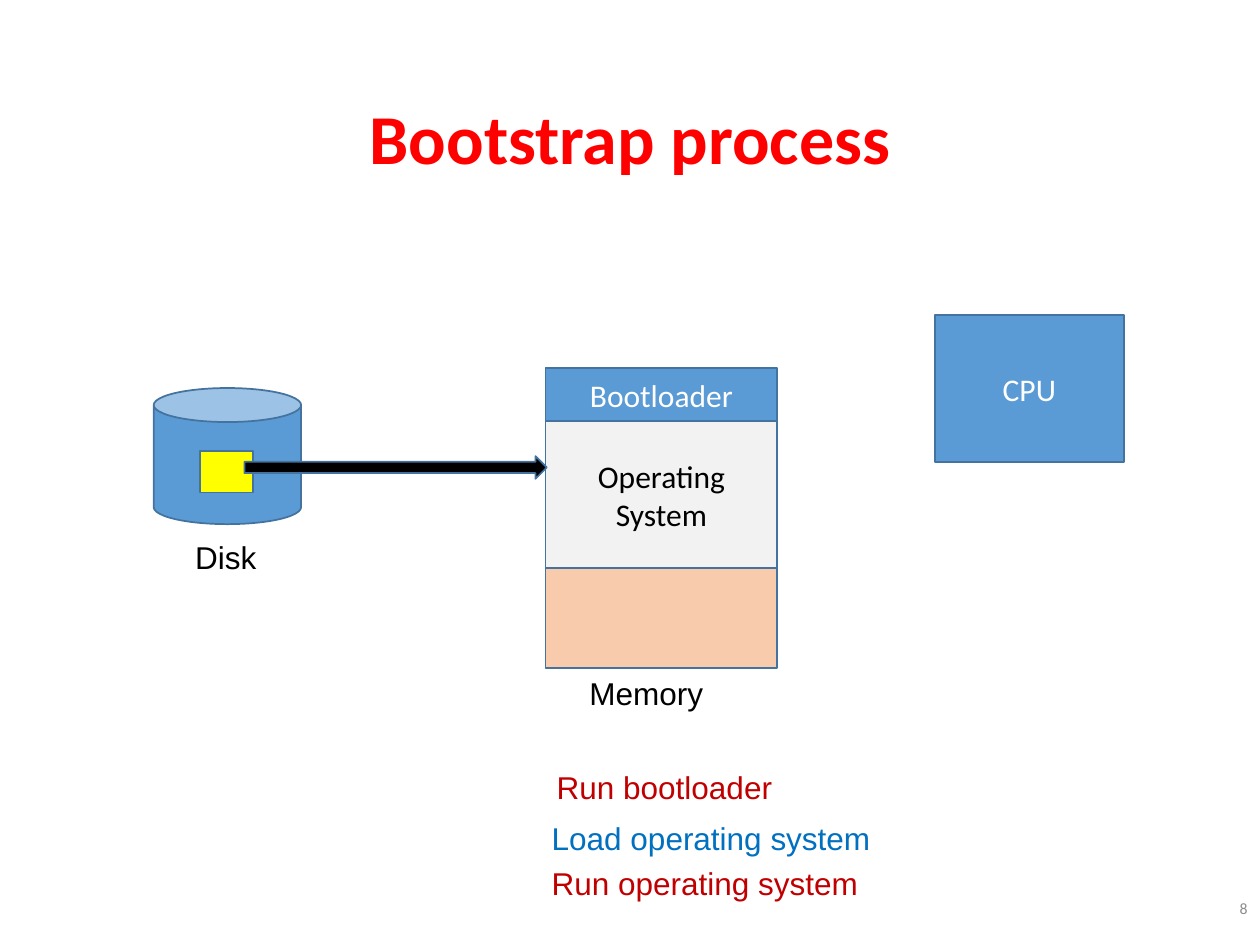
import pptx
import pptx.dml.color
import pptx.enum.shapes
import pptx.enum.text
import pptx.util
from pptx.util import Inches

SHAPE = pptx.enum.shapes.MSO_SHAPE
ALIGN = pptx.enum.text.PP_ALIGN
MIDDLE = pptx.enum.text.MSO_ANCHOR.MIDDLE
AUTO_SIZE = pptx.enum.text.MSO_AUTO_SIZE

BLUE, OUTLINE, BLACK, WHITE, DARK_RED = "5B9BD5", "43739E", "000000", "FFFFFF", "C00000"


def color(hex_value):
    """Turn a hex string into a colour."""
    return pptx.dml.color.RGBColor.from_string(hex_value)


def apply(target, values):
    """Set every attribute named in values on target."""
    for name, value in values.items():
        setattr(target, name, value)


def write(frame, text, ink, face="Calibri", size=18, align=ALIGN.CENTER, bold=False):
    """Fill a text frame with one formatted paragraph."""
    paragraph = frame.paragraphs[0]
    paragraph.alignment = align
    run = paragraph.add_run()
    run.text = text
    apply(run.font, {"name": face, "size": pptx.util.Pt(size), "bold": bold})
    run.font.color.rgb = color(ink)


def add_block(slide, preset, left, top, width, height, fill, text="", ink=WHITE):
    """Draw an outlined shape with an optional centred label."""
    block = slide.shapes.add_shape(preset, left, top, width, height)
    block.shadow.inherit = False
    block.fill.solid()
    block.fill.fore_color.rgb = color(fill)
    block.line.color.rgb = color(OUTLINE)
    block.line.width = pptx.util.Pt(1)
    if text:
        apply(block.text_frame, {"word_wrap": True, "vertical_anchor": MIDDLE})
        write(block.text_frame, text, ink)


def add_label(slide, left, top, width, text, ink=BLACK):
    """Place a one-line label that does not wrap."""
    label = slide.shapes.add_textbox(left, top, width, Inches(0.4))
    apply(label.text_frame, {"word_wrap": False, "auto_size": AUTO_SIZE.SHAPE_TO_FIT_TEXT})
    write(label.text_frame, text, ink, "Arial", align=ALIGN.LEFT)


def add_title(slide, left, top, width, height):
    """Move and format the title placeholder."""
    title = slide.shapes.title
    apply(title, {"left": left, "top": top, "width": width, "height": height})
    apply(title.text_frame, {"word_wrap": True, "vertical_anchor": MIDDLE})
    write(title.text_frame, "Bootstrap process", "FF0000", size=40, bold=True)
    title.text_frame.paragraphs[0].line_spacing = 0.9


def add_page_number(slide, left, top, width, height):
    """Place the page number at the right edge of its box."""
    number = slide.shapes.add_textbox(left, top, width, height)
    apply(number.text_frame, {"word_wrap": True, "vertical_anchor": MIDDLE})
    write(number.text_frame, "8", "8C8C8C", size=9, align=ALIGN.RIGHT)


def add_disk(slide, left, top, width, height):
    """Draw the disk, its stored system image and its caption."""
    add_block(slide, SHAPE.CAN, left, top, width, height, BLUE)
    add_label(slide, left + Inches(0.23), top + height + Inches(0.06), Inches(0.69), "Disk")
    add_block(slide, SHAPE.RECTANGLE, left + Inches(0.37), top + Inches(0.5),
              Inches(0.42), Inches(0.33), "FFFF00")


def add_memory(slide, left, top, width):
    """Stack the memory sections downwards and caption them."""
    sections = [
        (0.42, BLUE, "Bootloader", WHITE),
        (1.17, "F2F2F2", "Operating System", BLACK),
        (0.79, "F8CBAD", "", BLACK),
    ]
    section_top = top
    for height, fill, text, ink in sections:
        add_block(slide, SHAPE.RECTANGLE, left, section_top, width, Inches(height), fill, text, ink)
        section_top += Inches(height)
    add_label(slide, left + Inches(0.25), section_top, Inches(1.11), "Memory")


def add_steps(slide, left, top):
    """List the boot steps below the memory."""
    steps = [
        (0.04, 0, 1.93, "Run bootloader", DARK_RED),
        (0, 0.4, 2.75, "Load operating system", "0070C0"),
        (0, 0.76, 2.66, "Run operating system", DARK_RED),
    ]
    for indent, drop, width, text, ink in steps:
        add_label(slide, left + Inches(indent), top + Inches(drop), Inches(width), text, ink)


def main():
    """Build and save the slide."""
    deck = pptx.Presentation()
    apply(deck, {"slide_width": Inches(10), "slide_height": Inches(7.5)})
    slide = deck.slides.add_slide(deck.slide_layouts[5])
    add_title(slide, Inches(0.69), Inches(0.4), Inches(8.62), Inches(1.45))
    add_page_number(slide, Inches(7.43), Inches(7.01), Inches(2.57), Inches(0.4))
    add_disk(slide, Inches(1.22), Inches(3.08), Inches(1.17), Inches(1.08))
    add_block(slide, SHAPE.RECTANGLE, Inches(7.42), Inches(2.5), Inches(1.5), Inches(1.17),
              BLUE, "CPU")
    add_memory(slide, Inches(4.33), Inches(2.92), Inches(1.84))
    add_block(slide, SHAPE.RIGHT_ARROW, Inches(1.94), Inches(3.62), Inches(2.4), Inches(0.18),
              BLACK)
    add_steps(slide, Inches(4.28), Inches(6.05))
    deck.save("out.pptx")


if __name__ == "__main__":
    main()
